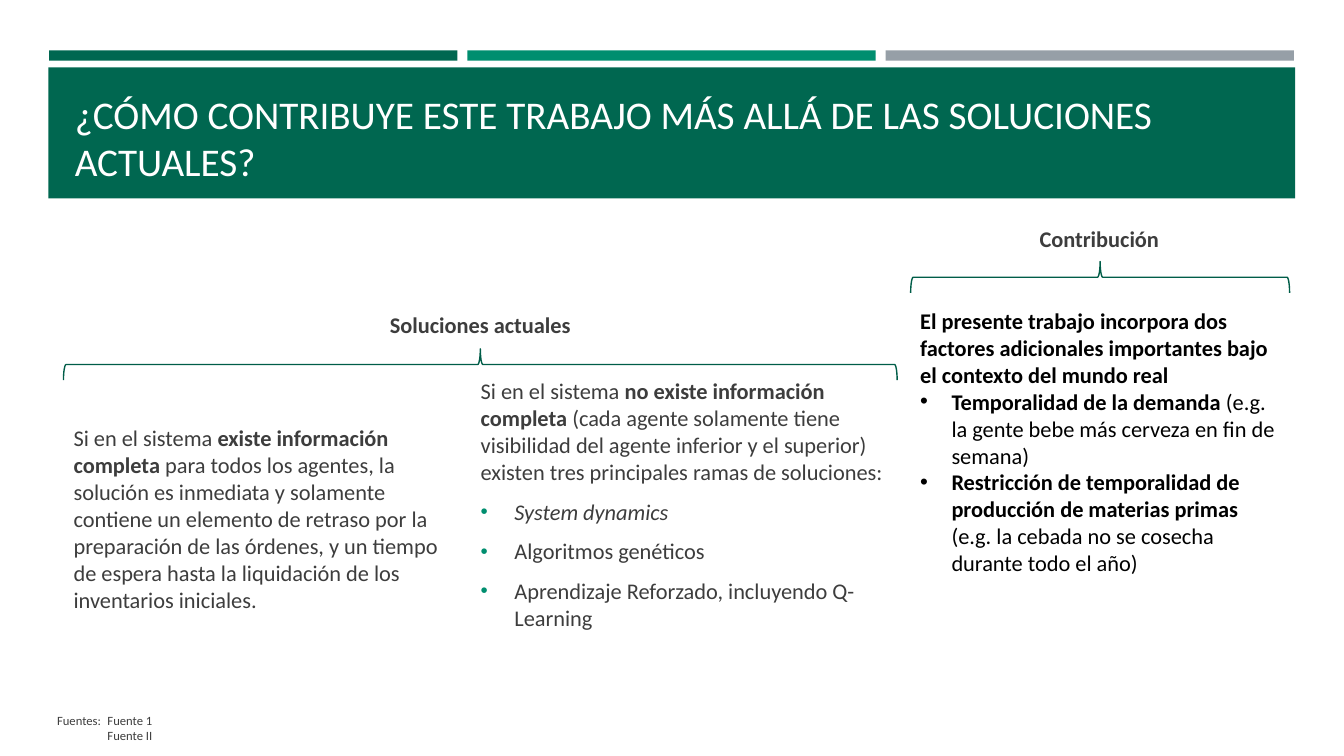
from lxml import etree
from pptx import Presentation
from pptx.dml.color import RGBColor
from pptx.enum.shapes import MSO_SHAPE
from pptx.enum.text import MSO_ANCHOR, MSO_AUTO_SIZE, PP_ALIGN
from pptx.oxml.ns import qn
from pptx.util import Cm, Pt

RECT, BRACE = MSO_SHAPE.RECTANGLE, MSO_SHAPE.RIGHT_BRACE
TOP, MIDDLE, BOTTOM = MSO_ANCHOR.TOP, MSO_ANCHOR.MIDDLE, MSO_ANCHOR.BOTTOM
LEFT, CENTER, JUSTIFY = PP_ALIGN.LEFT, PP_ALIGN.CENTER, PP_ALIGN.JUSTIFY
NO_FIT = MSO_AUTO_SIZE.NONE

GREEN, TEAL, GRAY = "006750", "008E6F", "969FA7"
BRACE_GREEN, INK, BLACK, WHITE = "005D48", "3D3D3D", "000000", "FFFFFF"


def rgb(value):
    return RGBColor.from_string(value)


def add_xml(parent, tag, **attrs):
    return etree.SubElement(parent, qn(tag), {k: str(v) for k, v in attrs.items()})


def write(p, runs, size=16, color=INK, align=LEFT, before=0, after=0,
          bullet=None, bullet_color=None, indent=0, tab=None):
    """Fill a paragraph with (text, style) runs; style holds "b" and/or "i"."""
    pPr = p._p.get_or_add_pPr()
    pPr.set("marL", str(Cm(indent)))
    pPr.set("indent", str(-Cm(indent)))
    if bullet:
        if bullet_color:
            add_xml(add_xml(pPr, "a:buClr"), "a:srgbClr", val=bullet_color)
            add_xml(pPr, "a:buSzPct", val=92000)
        add_xml(pPr, "a:buFont", typeface="Arial")
        add_xml(pPr, "a:buChar", char=bullet)
    else:
        add_xml(pPr, "a:buNone")
    if tab:
        add_xml(add_xml(pPr, "a:tabLst"), "a:tab", pos=Cm(tab), algn="l")
    p.alignment = align
    p.space_before, p.space_after = Pt(before), Pt(after)
    for text, style in runs:
        r = p.add_run()
        r.text = text
        r.font.name, r.font.size = "Calibri", Pt(size)
        r.font.color.rgb = rgb(color)
        r.font.bold, r.font.italic = "b" in style, "i" in style


class Deck:
    def __init__(self):
        self.prs = Presentation()
        self.prs.slide_width, self.prs.slide_height = Cm(33.87), Cm(19.05)
        self.s = self.prs.slides.add_slide(self.prs.slide_layouts[3])

    def bar(self, x, y, w, h, fill):
        sp = self.s.shapes.add_shape(RECT, Cm(x), Cm(y), Cm(w), Cm(h))
        sp.shadow.inherit = False
        sp.fill.solid()
        sp.fill.fore_color.rgb = rgb(fill)
        sp.line.fill.background()

    def brace(self, x, y, w, h=0.79):
        """Draw an upward brace in the given box by turning a right brace."""
        sp = self.s.shapes.add_shape(BRACE, Cm(x + (w - h) / 2),
                                     Cm(y + (h - w) / 2), Cm(h), Cm(w))
        sp.rotation = 270
        sp.shadow.inherit = False
        sp.fill.background()
        sp.line.color.rgb = rgb(BRACE_GREEN)
        sp.line.width = Pt(1)

    def fill_text(self, sp, paragraphs, anchor):
        tf = sp.text_frame
        tf.word_wrap, tf.auto_size = True, NO_FIT
        tf.vertical_anchor = anchor
        for n, (runs, fmt) in enumerate(paragraphs):
            write(tf.add_paragraph() if n else tf.paragraphs[0], runs, **fmt)

    def text(self, x, y, w, h, paragraphs, anchor=MIDDLE):
        sp = self.s.shapes.add_textbox(Cm(x), Cm(y), Cm(w), Cm(h))
        self.fill_text(sp, paragraphs, anchor)

    def placeholder(self, idx, x, y, w, h, paragraphs, anchor=MIDDLE):
        sp = self.s.placeholders[idx]
        sp.left, sp.top, sp.width, sp.height = Cm(x), Cm(y), Cm(w), Cm(h)
        self.fill_text(sp, paragraphs, anchor)
        # Bring the placeholder in front of the shapes drawn so far
        self.s.shapes._spTree.append(sp._element)

    def label(self, x, y, w, text):
        self.text(x, y, w, 0.94, [([(text, "b")], dict(align=CENTER))])


def main():
    deck = Deck()

    # Header bars and title band
    for n, fill in enumerate((GREEN, TEAL, GRAY)):
        deck.bar(1.24 + n * 10.54, 1.27, 10.29, 0.26, fill)
    deck.bar(1.22, 1.7, 31.42, 3.3, GREEN)
    title = "¿CÓMO CONTRIBUYE ESTE TRABAJO MÁS ALLÁ DE LAS SOLUCIONES ACTUALES?"
    deck.placeholder(0, 1.63, 1.96, 30.63, 2.82,
                     [([(title, "")], dict(size=28, color=WHITE))], BOTTOM)

    # Current solutions
    deck.label(9.12, 7.72, 5.97, "Soluciones actuales")
    deck.brace(1.6, 8.79, 21.01)
    deck.placeholder(1, 1.6, 10.69, 9.91, 4.75, [
        ([("Si en el sistema ", ""), ("existe información completa ", "b"),
          ("para todos los agentes, la solución es inmediata y solamente contiene "
           "un elemento de retraso por la preparación de las órdenes, y un tiempo "
           "de espera hasta la liquidación de los inventarios iniciales.", "")],
         dict(after=6))])
    branch = dict(before=3.2, after=6, bullet="•", bullet_color=TEAL, indent=0.85)
    deck.placeholder(2, 11.86, 9.68, 10.77, 6.05, [
        ([("Si en el sistema ", ""), ("no existe información completa", "b"),
          (" (cada agente solamente tiene visibilidad del agente inferior y el "
           "superior) existen tres principales ramas de soluciones:", "")],
         dict(after=6)),
        ([("System dynamics", "i")], branch),
        ([("Algoritmos genéticos", "")], branch),
        ([("Aprendizaje Reforzado, incluyendo Q-Learning", "")], branch)])

    # Contribution
    deck.label(24.38, 5.54, 6.65, "Contribución")
    deck.brace(22.95, 6.59, 9.55)
    factor = dict(color=BLACK, bullet="•", indent=0.79)
    deck.text(22.94, 7.62, 9.55, 7.09, [
        ([("El presente trabajo incorpora dos factores adicionales importantes "
           "bajo el contexto del mundo real", "b")], dict(color=BLACK)),
        ([("Temporalidad de la demanda ", "b"),
          ("(e.g. la gente bebe más cerveza en fin de semana)", "")], factor),
        ([("Restricción de temporalidad de producción de materias primas ", "b"),
          ("(e.g. la cebada no se cosecha durante todo el año)", "")], factor)],
        TOP)

    # Sources
    source = dict(size=9, align=JUSTIFY, tab=1.27)
    deck.text(1.19, 17.83, 30.63, 1.02, [
        ([("Fuentes: \tFuente 1", "")], source),
        ([("\tFuente II", "")], source)])

    deck.prs.save("out.pptx")


if __name__ == "__main__":
    main()
